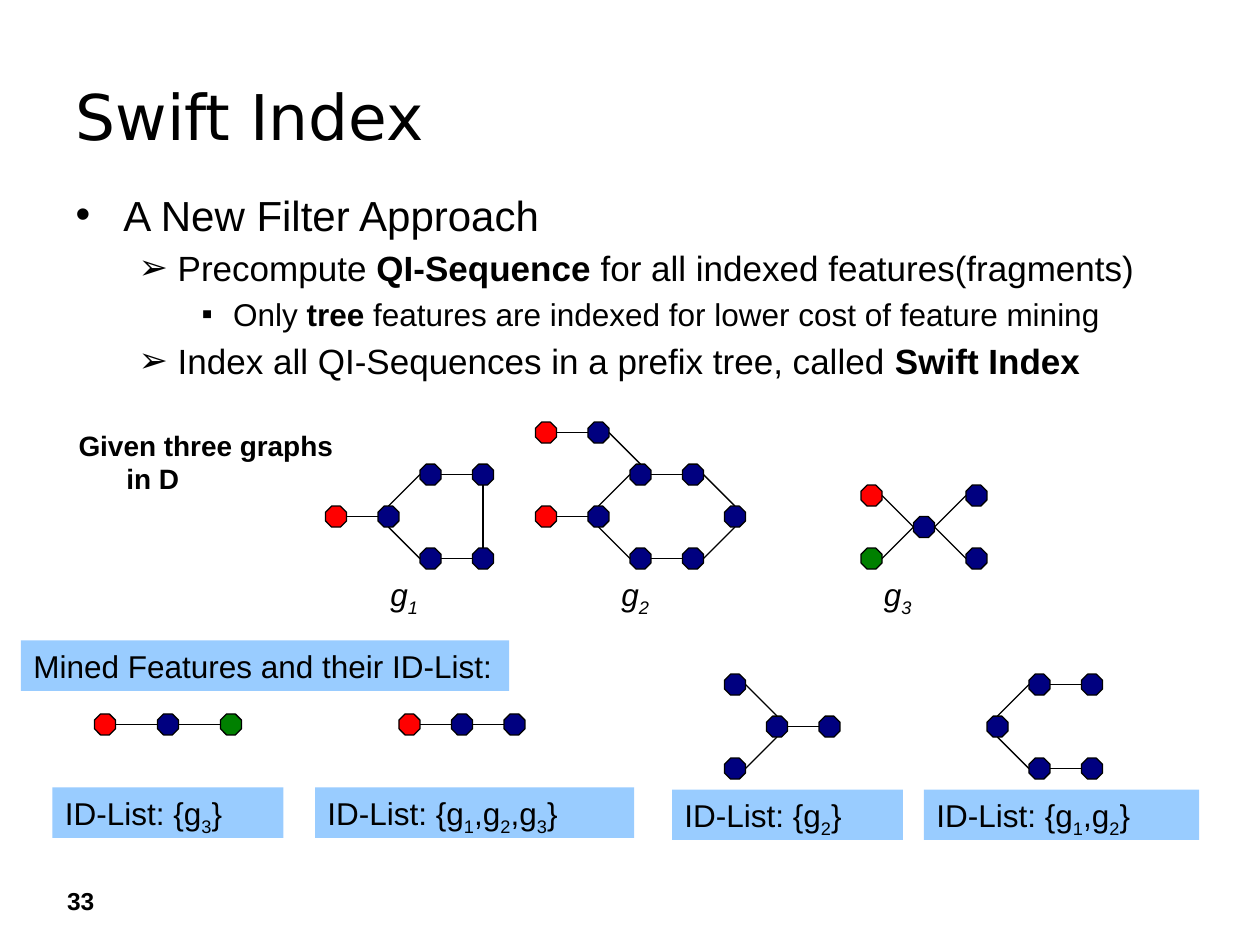
import pptx
import pptx.util
import pptx.dml.color
import pptx.enum.shapes
import pptx.enum.text
import pptx.oxml.ns
from dataclasses import dataclass
from lxml import etree


@dataclass(frozen=True)
class Theme:
    """Colours, fonts and type sizes of the slide."""
    black: str = "000000"
    navy: str = "000080"
    red: str = "FF0000"
    green: str = "008000"
    band: str = "99CCFF"
    text_font: str = "Arial"
    title_font: str = "DejaVu Sans"
    title: int = 36
    levels: tuple = (24, 20, 18)
    label: int = 18
    caption: int = 16
    number: int = 14
    line: float = 0.75


T = Theme()
COLS, ROWS = 120, 90
PORTS = {"l": (0, 1), "r": (2, 1), "t": (1, 0), "b": (1, 2)}
KINDS = {"R": T.red, "N": T.navy, "G": T.green}
INDENTS = ((0.38, -0.38), (0.81, -0.31), (1.25, -0.25))
BULLETS = "•➢▪"


def grid(*cells):
    """Turn grid cells, twelve to the inch, into lengths."""
    return [pptx.util.Inches(c / 12) for c in cells]


def rgb(code):
    """Turn a hex code into a colour."""
    return pptx.dml.color.RGBColor.from_string(code)


def write(p, text, size, font=T.text_font, sub=False, **style):
    """Write text whose parts between bars are subscript or bold."""
    for i, part in enumerate(text.split("|")):
        if not part:
            continue
        r = p.add_run()
        r.text = part
        marked = i % 2 == 1
        fmt = {"size": pptx.util.Pt(size), "name": font,
               "bold": marked and not sub, **style}
        for key, value in fmt.items():
            setattr(r.font, key, value)
        r.font.color.rgb = rgb(T.black)
        if marked and sub:
            r._r.get_or_add_rPr().set("baseline", "-25000")


def indent(p, left, first):
    """Set the hanging indent of a paragraph."""
    pPr = p._p.get_or_add_pPr()
    pPr.set("marL", str(pptx.util.Inches(left)))
    pPr.set("indent", str(pptx.util.Inches(first)))
    return pPr


def place(sp, box):
    """Move a shape to a grid box."""
    sp.left, sp.top, sp.width, sp.height = grid(*box)


def title(s, box, text):
    """Fill the title placeholder."""
    sp = s.shapes.title
    place(sp, box)
    tf = sp.text_frame
    tf.auto_size = pptx.enum.text.MSO_AUTO_SIZE.NONE
    tf.vertical_anchor = pptx.enum.text.MSO_ANCHOR.MIDDLE
    p = tf.paragraphs[0]
    p.alignment = pptx.enum.text.PP_ALIGN.LEFT
    write(p, text, T.title, T.title_font)


def body(s, box, items):
    """Fill the body placeholder with a bulleted outline."""
    sp = s.placeholders[1]
    place(sp, box)
    tf = sp.text_frame
    tf.auto_size = pptx.enum.text.MSO_AUTO_SIZE.NONE
    for i, (level, text) in enumerate(items):
        p = tf.add_paragraph() if i else tf.paragraphs[0]
        p.level = level
        pPr = indent(p, *INDENTS[level])
        bullet = etree.SubElement(pPr, pptx.oxml.ns.qn("a:buChar"))
        bullet.set("char", BULLETS[level])
        write(p, text, T.levels[level])


def note(s, box, text, size, hanging=False, **style):
    """Add a plain text box, with a hanging indent if asked."""
    sp = s.shapes.add_textbox(*grid(*box))
    tf = sp.text_frame
    tf.word_wrap = True
    p = tf.paragraphs[0]
    if hanging:
        indent(p, *INDENTS[0])
        p.space_before = pptx.util.Pt(size * 0.2)
    write(p, text, size, sub=True, **style)


def band(s, box, text):
    """Add a filled label."""
    sp = s.shapes.add_shape(pptx.enum.shapes.MSO_SHAPE.RECTANGLE, *grid(*box))
    sp.shadow.inherit = False
    sp.fill.solid()
    sp.fill.fore_color.rgb = rgb(T.band)
    sp.line.fill.background()
    tf = sp.text_frame
    tf.word_wrap = True
    tf.vertical_anchor = pptx.enum.text.MSO_ANCHOR.TOP
    p = tf.paragraphs[0]
    p.alignment = pptx.enum.text.PP_ALIGN.LEFT
    write(p, text, T.label, sub=True)


def graph(s, origin, nodes, edges):
    """Draw nodes (kind, column, row) and edges such as '0r1l' from an origin."""
    x, y = origin
    spots = [(x + col, y + row) for _, col, row in nodes]
    for edge in edges.split():
        ends = []
        for node, port in (edge[:2], edge[2:]):
            ends += [a + b for a, b in zip(spots[int(node)], PORTS[port])]
        sp = s.shapes.add_connector(
            pptx.enum.shapes.MSO_CONNECTOR.STRAIGHT, *grid(*ends))
        sp.line.color.rgb = rgb(T.black)
        sp.line.width = pptx.util.Pt(T.line)
        etree.SubElement(sp._element.spPr, pptx.oxml.ns.qn("a:effectLst"))
    for (kind, _, _), spot in zip(nodes, spots):
        sp = s.shapes.add_shape(
            pptx.enum.shapes.MSO_SHAPE.OCTAGON, *grid(*spot, 2, 2))
        sp.shadow.inherit = False
        sp.fill.solid()
        sp.fill.fore_color.rgb = rgb(KINDS[kind])
        sp.line.color.rgb = rgb(T.black)
        sp.line.width = pptx.util.Pt(T.line)


def database(s, top):
    """Draw the three given graphs with their names."""
    note(s, (6.3, top, 28, 4.4), "Given three graphs in D", T.caption,
         hanging=True, bold=True)
    fork = [("R", 0, 8), ("N", 5, 8), ("N", 9, 4), ("N", 14, 4),
            ("N", 9, 12), ("N", 14, 12)]
    links = "0r1l 1t2l 2r3l 1b4l 4r5l "
    graph(s, (31, top), fork, links + "5t3b")
    graph(s, (51, top), fork + [("N", 18, 8), ("R", 0, 0), ("N", 5, 0)],
          links + "3r6t 5r6b 7r8l 8r2t")
    graph(s, (82, top + 6),
          [("N", 5, 3), ("R", 0, 0), ("G", 0, 6), ("N", 10, 0), ("N", 10, 6)],
          "1r0l 2r0l 0r3l 0r4l")
    for i, left in enumerate((36, 58, 83), 1):
        note(s, (left, top + 14, 5.5, 4.8), f"g|{i}|", T.label, italic=True)


def features(s, top):
    """Draw the mined features above their ID lists."""
    band(s, (2, top, 46.5, 4.8), "Mined Features and their ID-List:")
    graph(s, (9, top + 7), [("R", 0, 0), ("N", 6, 0), ("G", 12, 0)], "0r1l 1r2l")
    graph(s, (38, top + 7), [("R", 0, 0), ("N", 5, 0), ("N", 10, 0)], "0r1l 1r2l")
    graph(s, (69, top + 3.2),
          [("N", 0, 0), ("N", 0, 8), ("N", 4, 4), ("N", 9, 4)],
          "0r2t 1r2b 2r3l")
    graph(s, (94, top + 3.2),
          [("N", 0, 4), ("N", 4, 0), ("N", 9, 0), ("N", 4, 8), ("N", 9, 8)],
          "0t1l 1r2l 0b3l 3r4l")
    lists = ((5, 14, 22, "3"), (30, 14, 30.4, "123"),
             (64, 14.2, 22, "2"), (88, 14.2, 26.2, "12"))
    for left, down, width, ids in lists:
        names = ",".join(f"g|{i}|" for i in ids)
        band(s, (left, top + down, width, 4.8), f"ID-List: {{{names}}}")


def main():
    """Build the slide and save it."""
    prs = pptx.Presentation()
    prs.slide_width, prs.slide_height = grid(COLS, ROWS)
    s = prs.slides.add_slide(prs.slide_layouts[1])
    title(s, (6, 5.8, 108, 10.4), "Swift Index")
    body(s, (6, 17.4, 108, 60.5), (
        (0, "A New Filter Approach"),
        (1, "Precompute |QI-Sequence| for all indexed features(fragments)"),
        (2, "Only |tree| features are indexed for lower cost of feature mining"),
        (1, "Index all QI-Sequences in a prefix tree, called |Swift Index|")))
    database(s, 40.2)
    features(s, 61)
    note(s, (5.2, 83.8, 5.6, 4), "33", T.number, hanging=True, bold=True)
    prs.save("out.pptx")


if __name__ == "__main__":
    main()
